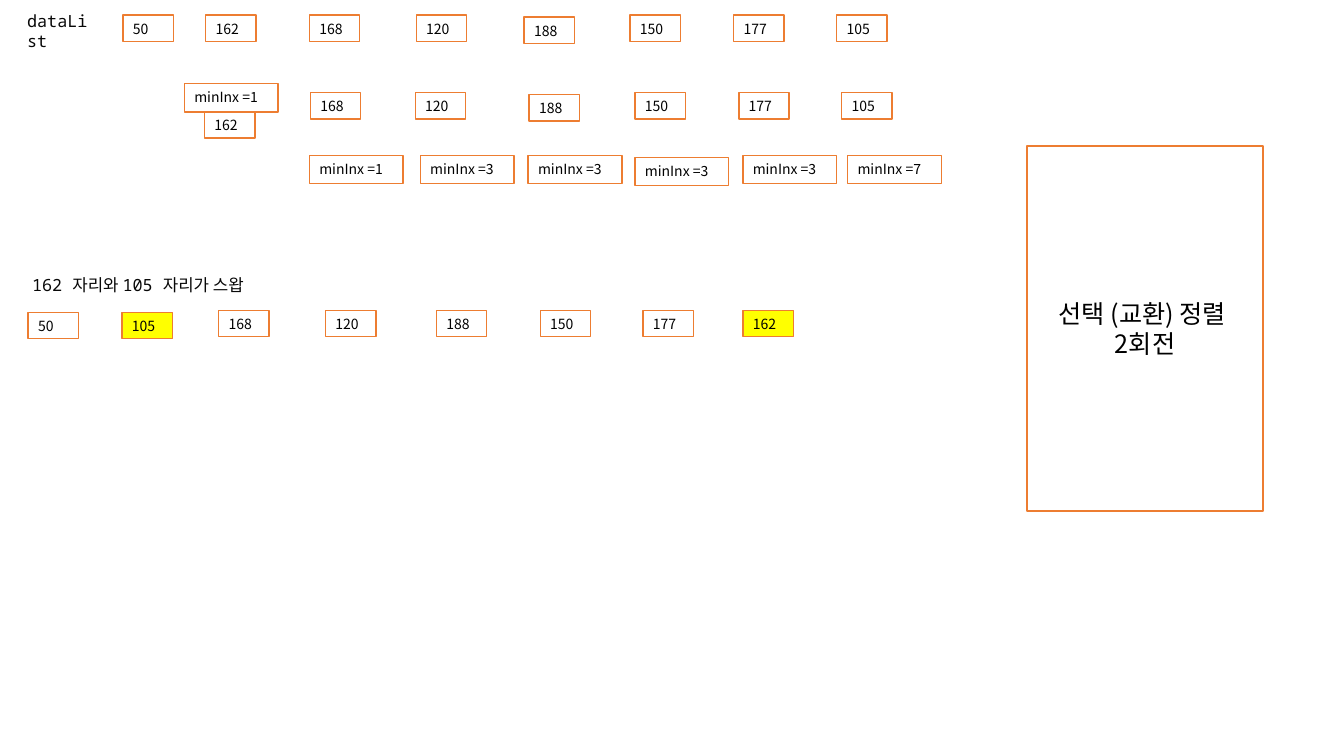
from pptx import Presentation
from pptx.dml.color import RGBColor
from pptx.enum.shapes import MSO_SHAPE
from pptx.enum.text import MSO_ANCHOR, MSO_AUTO_SIZE, PP_ALIGN
from pptx.oxml.ns import qn
from pptx.util import Pt
from lxml.etree import SubElement

TITLE = ["선택 (교환) 정렬 ", "2회전"]
TITLE_BOX = (733.68, 104.4, 168.48, 260.64)

# (text, left, top, width, height)
LABELS = [
    ("dataList", 12.24, 11.52, 61.2, 21.6),
    ("162 자리와 105 자리가 스왑", 15.84, 192.96, 184.32, 21.6),
]

VALUE, INDEX = (36, 18.72), (66.96, 20.16)  # box sizes
NUDGE = 1.44  # some boxes sit slightly below their row

# (top, box size, [(text, left), ...])
ROWS = [
    (10.8, VALUE, [("50", 87.84), ("162", 146.88), ("168", 221.04), ("120", 297.36),
                   ("150", 450), ("177", 524.16), ("105", 597.6)]),
    (10.8 + NUDGE, VALUE, [("188", 374.4)]),
    (59.76, INDEX, [("minInx =1", 131.76)]),
    (79.92, VALUE, [("162", 146.16)]),
    (66.24, VALUE, [("168", 221.76), ("120", 296.64), ("150", 453.6),
                    ("177", 527.76), ("105", 601.2)]),
    (66.24 + NUDGE, VALUE, [("188", 378)]),
    (110.88, INDEX, [("minInx =1", 221.04), ("minInx =3", 300.24), ("minInx =3", 377.28),
                     ("minInx =3", 530.64), ("minInx =7", 605.52)]),
    (110.88 + NUDGE, INDEX, [("minInx =3", 453.6)]),
    (221.76 + NUDGE, VALUE, [("50", 20.16), ("105", 87.12)]),
    (221.76, VALUE, [("168", 156.24), ("120", 232.56), ("188", 311.76),
                     ("150", 385.92), ("177", 459.36), ("162", 530.64)]),
]
SWAPPED = {("105", 87.12), ("162", 530.64)}


class Theme:
    paper = RGBColor(0xFF, 0xFF, 0xFF)
    highlight = RGBColor(0xFF, 0xFF, 0x00)
    border = RGBColor(0xED, 0x7D, 0x31)
    text = RGBColor(0x00, 0x00, 0x00)
    code = RGBColor(0x08, 0x08, 0x08)
    sans = "Noto Sans CJK KR"
    mono = "Noto Sans Mono"
    value_size, label_size, title_size = 10, 12, 18
    border_width = 1


def place(sp, left, top, width, height):
    sp.left, sp.top, sp.width, sp.height = map(Pt, (left, top, width, height))


def paint(sp, fill=Theme.paper, border=True):
    sp.fill.solid()
    sp.fill.fore_color.rgb = fill
    if border:
        sp.line.color.rgb = Theme.border
        sp.line.width = Pt(Theme.border_width)
    else:
        sp.line.fill.background()


def write(sp, lines, size, font=Theme.sans, color=Theme.text,
          align=PP_ALIGN.LEFT, anchor=MSO_ANCHOR.MIDDLE, auto_size=MSO_AUTO_SIZE.NONE):
    tf = sp.text_frame
    tf.text = "\n".join(lines)
    tf.word_wrap = True
    tf.auto_size = auto_size
    tf.vertical_anchor = anchor
    for p in tf.paragraphs:
        p.alignment = align
        for r in p.runs:
            r.font.size = Pt(size)
            r.font.name = font
            r.font.color.rgb = color
            # Korean characters take the East Asian font
            SubElement(r.font._element, qn("a:ea")).set("typeface", Theme.sans)


def add_rect(slide, left, top, width, height):
    sp = slide.shapes.add_shape(MSO_SHAPE.RECTANGLE, *map(Pt, (left, top, width, height)))
    sp.shadow.inherit = False
    return sp


def main():
    prs = Presentation()
    prs.slide_width, prs.slide_height = Pt(960), Pt(540)
    slide = prs.slides.add_slide(prs.slide_layouts[5])

    title = slide.shapes.title
    place(title, *TITLE_BOX)
    paint(title)
    write(title, TITLE, Theme.title_size, align=PP_ALIGN.CENTER)

    for text, *box in LABELS:
        sp = add_rect(slide, *box)
        paint(sp, border=False)
        write(sp, [text], Theme.label_size, Theme.mono, Theme.code,
              auto_size=MSO_AUTO_SIZE.SHAPE_TO_FIT_TEXT)

    for top, size, boxes in ROWS:
        for text, left in boxes:
            sp = add_rect(slide, left, top, *size)
            paint(sp, Theme.highlight if (text, left) in SWAPPED else Theme.paper)
            write(sp, [text], Theme.value_size, anchor=MSO_ANCHOR.TOP)

    prs.save("out.pptx")


if __name__ == "__main__":
    main()
